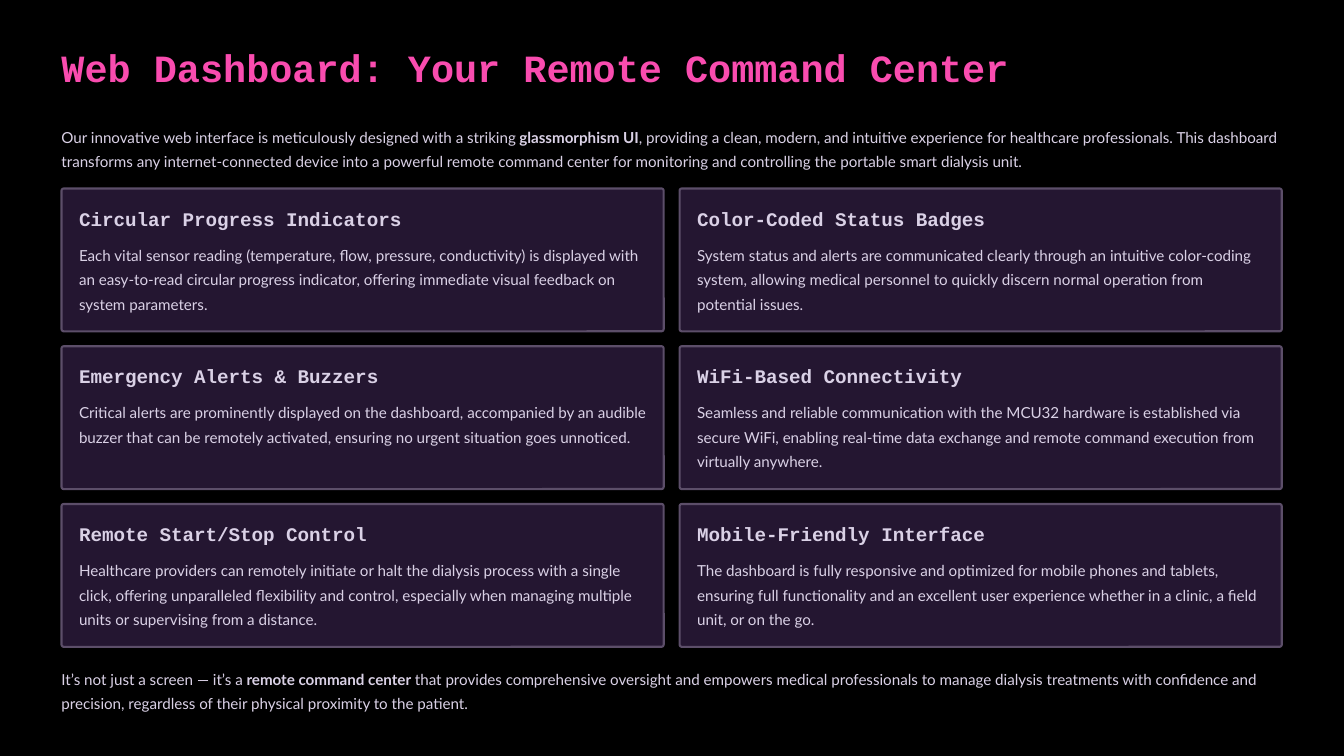
from dataclasses import dataclass

from pptx import Presentation
from pptx.dml.color import RGBColor
from pptx.enum.shapes import MSO_SHAPE
from pptx.slide import Slide
from pptx.util import Cm, Pt

ROUNDED = MSO_SHAPE.ROUNDED_RECTANGLE


@dataclass(frozen=True)
class TextStyle:
    font: str
    size: float
    leading: float
    color: RGBColor
    bold: bool = False


@dataclass(frozen=True)
class Theme:
    background: RGBColor
    card_fill: RGBColor
    card_line: RGBColor
    title: TextStyle
    heading: TextStyle
    body: TextStyle


@dataclass(frozen=True)
class Run:
    text: str
    bold: bool = False


@dataclass(frozen=True)
class Card:
    heading: str
    body: str


LAVENDER = RGBColor(0xDA, 0xD1, 0xE6)
PINK = RGBColor(0xF9, 0x4C, 0xAF)
THEME = Theme(
    background=RGBColor(0, 0, 0),
    card_fill=RGBColor(0x24, 0x16, 0x31),
    card_line=RGBColor(0x5C, 0x4E, 0x69),
    title=TextStyle("Courier New", 33, 41, PINK, bold=True),
    heading=TextStyle("Courier New", 16.5, 20.5, LAVENDER, bold=True),
    body=TextStyle("Lato", 13, 21, LAVENDER),
)

# Lengths in centimetres
MARGIN = 1.86
CONTENT_W = 36.91
COLUMNS = 2
CARD_W, CARD_H = 18.21, 4.32
CARDS_TOP = 5.7
PITCH_X, PITCH_Y = 18.69, 4.77
PADDING = 0.53
BODY_OFFSET = 1.55
CARD_TEXT_W = 17.17

TITLE = [Run("Web Dashboard: Your Remote Command Center")]
INTRO = [
    Run("Our innovative web interface is meticulously designed with a striking "),
    Run("glassmorphism UI", bold=True),
    Run(", providing a clean, modern, and intuitive experience for healthcare "
        "professionals. This dashboard transforms any internet-connected device into a "
        "powerful remote command center for monitoring and controlling the portable "
        "smart dialysis unit."),
]
CLOSING = [
    Run("It’s not just a screen — it’s a "),
    Run("remote command center", bold=True),
    Run(" that provides comprehensive oversight and empowers medical professionals to "
        "manage dialysis treatments with confidence and precision, regardless of their "
        "physical proximity to the patient."),
]
CARDS = [
    Card("Circular Progress Indicators",
         "Each vital sensor reading (temperature, flow, pressure, conductivity) is "
         "displayed with an easy-to-read circular progress indicator, offering "
         "immediate visual feedback on system parameters."),
    Card("Color-Coded Status Badges",
         "System status and alerts are communicated clearly through an intuitive "
         "color-coding system, allowing medical personnel to quickly discern normal "
         "operation from potential issues."),
    Card("Emergency Alerts & Buzzers",
         "Critical alerts are prominently displayed on the dashboard, accompanied by an "
         "audible buzzer that can be remotely activated, ensuring no urgent situation "
         "goes unnoticed."),
    Card("WiFi-Based Connectivity",
         "Seamless and reliable communication with the MCU32 hardware is established "
         "via secure WiFi, enabling real-time data exchange and remote command "
         "execution from virtually anywhere."),
    Card("Remote Start/Stop Control",
         "Healthcare providers can remotely initiate or halt the dialysis process with "
         "a single click, offering unparalleled flexibility and control, especially "
         "when managing multiple units or supervising from a distance."),
    Card("Mobile-Friendly Interface",
         "The dashboard is fully responsive and optimized for mobile phones and "
         "tablets, ensuring full functionality and an excellent user experience "
         "whether in a clinic, a field unit, or on the go."),
]


def add_text(s: Slide, left: float, top: float, width: float, height: float,
             runs: list[Run], style: TextStyle) -> None:
    tf = s.shapes.add_textbox(Cm(left), Cm(top), Cm(width), Cm(height)).text_frame
    tf.margin_left = tf.margin_top = tf.margin_right = tf.margin_bottom = 0
    tf.word_wrap = True
    p = tf.paragraphs[0]
    p.line_spacing = Pt(style.leading)
    for run in runs:
        r = p.add_run()
        r.text = run.text
        r.font.name = style.font
        r.font.size = Pt(style.size)
        r.font.bold = style.bold or run.bold
        r.font.color.rgb = style.color


def add_card(s: Slide, left: float, top: float, card: Card) -> None:
    sp = s.shapes.add_shape(ROUNDED, Cm(left), Cm(top), Cm(CARD_W), Cm(CARD_H))
    sp.adjustments[0] = 0.016
    sp.shadow.inherit = False
    sp.fill.solid()
    sp.fill.fore_color.rgb = THEME.card_fill
    sp.line.color.rgb = THEME.card_line
    sp.line.width = Pt(1.8)
    text_left = left + PADDING
    add_text(s, text_left, top + PADDING, CARD_TEXT_W, 0.74,
             [Run(card.heading)], THEME.heading)
    add_text(s, text_left, top + BODY_OFFSET, CARD_TEXT_W, 2.24,
             [Run(card.body)], THEME.body)


def main() -> None:
    prs = Presentation()
    prs.slide_width, prs.slide_height = Cm(40.64), Cm(22.86)
    s = prs.slides.add_slide(prs.slide_layouts[6])
    s.background.fill.solid()
    s.background.fill.fore_color.rgb = THEME.background

    add_text(s, MARGIN, 1.28, CONTENT_W, 1.45, TITLE, THEME.title)
    add_text(s, MARGIN, 3.68, CONTENT_W, 1.5, INTRO, THEME.body)
    for i, card in enumerate(CARDS):
        row, column = divmod(i, COLUMNS)
        add_card(s, MARGIN + column * PITCH_X, CARDS_TOP + row * PITCH_Y, card)
    add_text(s, MARGIN, 20.07, CONTENT_W, 1.5, CLOSING, THEME.body)
    prs.save("out.pptx")


if __name__ == "__main__":
    main()
